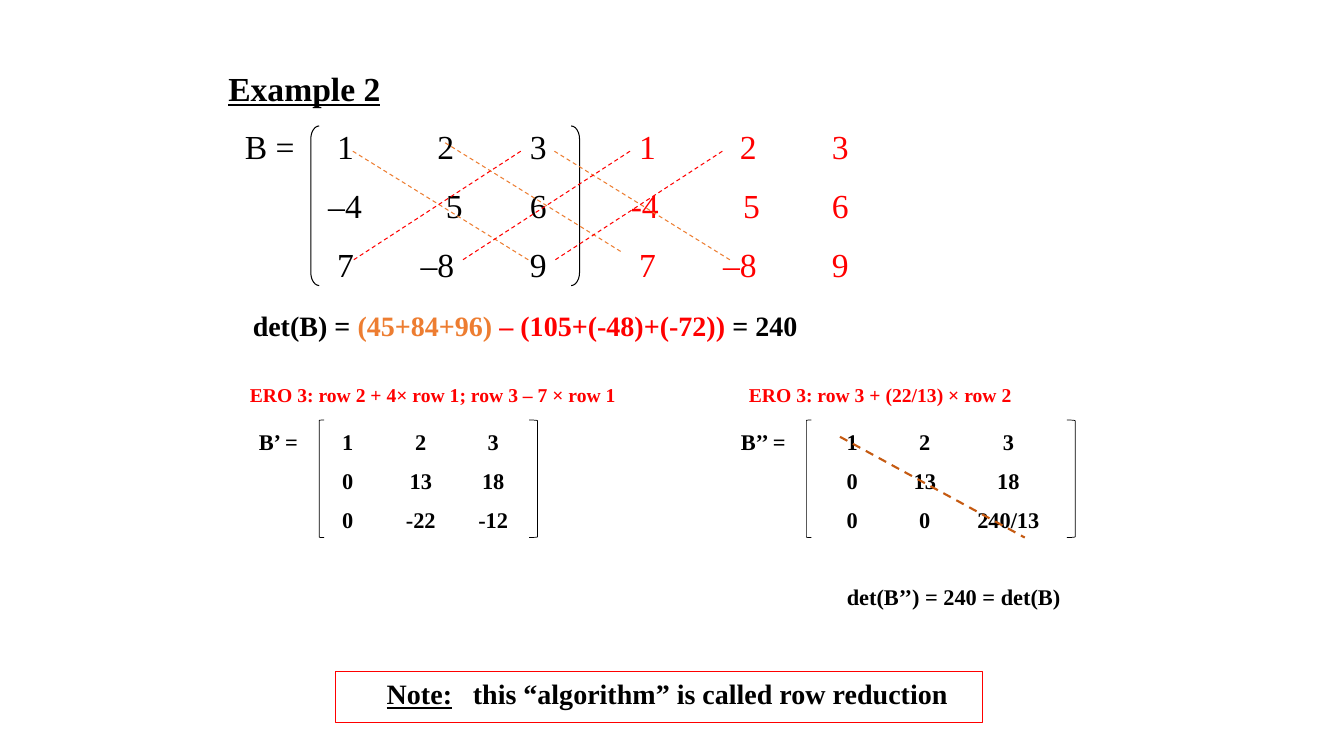
import pptx
import pptx.dml.color
import pptx.enum.dml
import pptx.enum.shapes
import pptx.oxml.ns
import pptx.util
from lxml import etree

Pt = pptx.util.Pt
SHAPE = pptx.enum.shapes.MSO_SHAPE
BLACK, RED, ORANGE, BROWN = "000000", "FF0000", "ED7D31", "C55A11"


def rgb(hex_color):
    return pptx.dml.color.RGBColor.from_string(hex_color)


# Text helpers
def add_frame(slide, left, top, width, height, inset_top=3.6):
    frame = slide.shapes.add_textbox(Pt(left), Pt(top), Pt(width), Pt(height)).text_frame
    frame.word_wrap = True
    frame.margin_top = Pt(inset_top)
    return frame


def add_line_of_text(frame, stops, before=0):
    """Start a paragraph; stops are (position, alignment) pairs in points."""
    first = frame.paragraphs[0]
    paragraph = frame.add_paragraph() if first.runs else first
    paragraph.space_before = Pt(before)
    tabs = etree.SubElement(paragraph._p.get_or_add_pPr(), pptx.oxml.ns.qn("a:tabLst"))
    for position, alignment in stops:
        etree.SubElement(tabs, pptx.oxml.ns.qn("a:tab"), pos=str(int(Pt(position))), algn=alignment)
    return paragraph


def add_text(paragraph, text, size=16, color=BLACK, bold=True, underline=False):
    run = paragraph.add_run()
    run.text = text
    run.font.name = "Times New Roman"
    run.font.size = Pt(size)
    run.font.bold = bold
    run.font.underline = underline
    run.font.color.rgb = rgb(color)


def aligned(alignment, positions):
    return [(position, alignment) for position in positions]


# Drawing helpers
def add_outline(slide, kind, left, top, width, height, color=BLACK, weight=0.5, curve=None):
    outline = slide.shapes.add_shape(kind, Pt(left), Pt(top), Pt(width), Pt(height))
    outline.shadow.inherit = False
    outline.fill.background()
    outline.line.color.rgb = rgb(color)
    outline.line.width = Pt(weight)
    if curve is not None:
        outline.adjustments[0] = curve


def add_diagonal(slide, x, y, run, drop, color, weight=0.75):
    diagonal = slide.shapes.add_connector(
        pptx.enum.shapes.MSO_CONNECTOR.STRAIGHT, Pt(x), Pt(y), Pt(x + run), Pt(y + drop))
    diagonal.line.color.rgb = rgb(color)
    diagonal.line.width = Pt(weight)
    diagonal.line.dash_style = pptx.enum.dml.MSO_LINE.DASH
    etree.SubElement(diagonal._element.spPr, pptx.oxml.ns.qn("a:effectLst"))


# Determinant by diagonals
def build_diagonal_rule(slide, left, top, width, height):
    frame = add_frame(slide, left, top, width, height, inset_top=6.2)
    add_text(add_line_of_text(frame, []), "Example 2", size=24, underline=True)

    outer_columns = [89.7, 161.4, 227.5, 305.4, 377.5, 443.2]
    middle_columns = [95.4, 167.5, 227.5, 307.5, 379.7, 443.2]
    label_stop = [(11.8, "l")]
    matrix_rows = [
        ("\tB =\t1\t2\t3", "\t1\t2\t3", label_stop + aligned("r", outer_columns)),
        ("\t–4\t5\t6", "\t-4\t5\t6", aligned("r", middle_columns)),
        ("\t7\t–8\t9", "\t7\t–8\t9", aligned("r", outer_columns)),
    ]
    for matrix, repeated, stops in matrix_rows:
        row = add_line_of_text(frame, stops, before=13.2)
        add_text(row, matrix, size=24, bold=False)
        add_text(row, repeated, size=24, bold=False, color=RED)

    determinant = add_line_of_text(frame, [(17.5, "l")], before=17.1)
    for text, color in [("\tdet(B) = ", BLACK), ("(45+84+96) ", ORANGE),
                        ("– (105+(-48)+(-72))", RED), (" = 240", BLACK)]:
        add_text(determinant, text, size=20, color=color)

    for kind, x in [(SHAPE.LEFT_BRACKET, 66), (SHAPE.RIGHT_BRACKET, 252)]:
        add_outline(slide, kind, left + x, top + 48, 6, 114, weight=0.75, curve=1.583)
    for x, y in [(96, 66), (240, 66), (162, 60)]:
        add_diagonal(slide, left + x, top + y, 126, 78, ORANGE)
    for x in [216, 294, 360]:
        add_diagonal(slide, left + x, top + 66, -120, 78, RED)


# Row operations above the reduced matrices
def build_operations(slide, left, top, width, height):
    frame = add_frame(slide, left, top, width, height)
    operations = add_line_of_text(frame, aligned("l", [3.4, 359.8]))
    add_text(operations, "\tERO 3: row 2 + 4× row 1; row 3 – 7 × row 1"
                         "\tERO 3: row 3 + (22/13) × row 2", size=14, color=RED)


# Reduced matrices side by side
def build_reduced_matrices(slide, left, top, width, height):
    frame = add_frame(slide, left, top, width, height, inset_top=5.5)
    first_columns = aligned("ctr", [79.4, 131.5, 183.2])
    second_columns = aligned("ctr", [439.7, 491.5, 551.2])
    labelled = [(15.8, "l")] + first_columns + [(360.1, "l")] + second_columns
    plain = first_columns + second_columns
    for text, stops, before in [
        ("\tB’ =\t1\t2\t3\tB’’ =\t1\t2\t3", labelled, 0),
        ("\t0\t13\t18\t0\t13\t18", plain, 8.8),
        ("\t0\t-22\t-12\t0\t0\t240/13", plain, 8.8),
        ("\tdet(B’’) = 240 = det(B)", [(435.8, "l")], 35.9),
    ]:
        add_text(add_line_of_text(frame, stops, before), text)

    for open_x, close_x in [(66, 216), (414, 600)]:
        add_outline(slide, SHAPE.LEFT_BRACKET, left + open_x, top, 3.6, 84)
        add_outline(slide, SHAPE.RIGHT_BRACKET, left + close_x, top, 6, 84)
    add_diagonal(slide, left + 438, top + 12, 132, 72, BROWN, weight=1.5)


# Boxed note
def build_note(slide, left, top, width, height):
    note = add_line_of_text(add_frame(slide, left, top, width, height), aligned("l", [113.2, 174.7]))
    add_text(note, "\t", size=20)
    add_text(note, "Note:", size=20, underline=True)
    add_text(note, "\tthis “algorithm” is called row reduction", size=20)
    add_outline(slide, SHAPE.RECTANGLE, left + 84, top, 462, 36, color=RED, weight=0.75)


def main():
    presentation = pptx.Presentation()
    presentation.slide_width, presentation.slide_height = Pt(960), Pt(540)
    slide = presentation.slides.add_slide(presentation.slide_layouts[6])
    build_diagonal_rule(slide, 156, 42, 654, 210)
    build_operations(slide, 168, 270, 642, 24.5)
    build_reduced_matrices(slide, 162, 300, 654, 143)
    build_note(slide, 156, 480, 642, 31.7)
    presentation.save("out.pptx")


if __name__ == "__main__":
    main()
